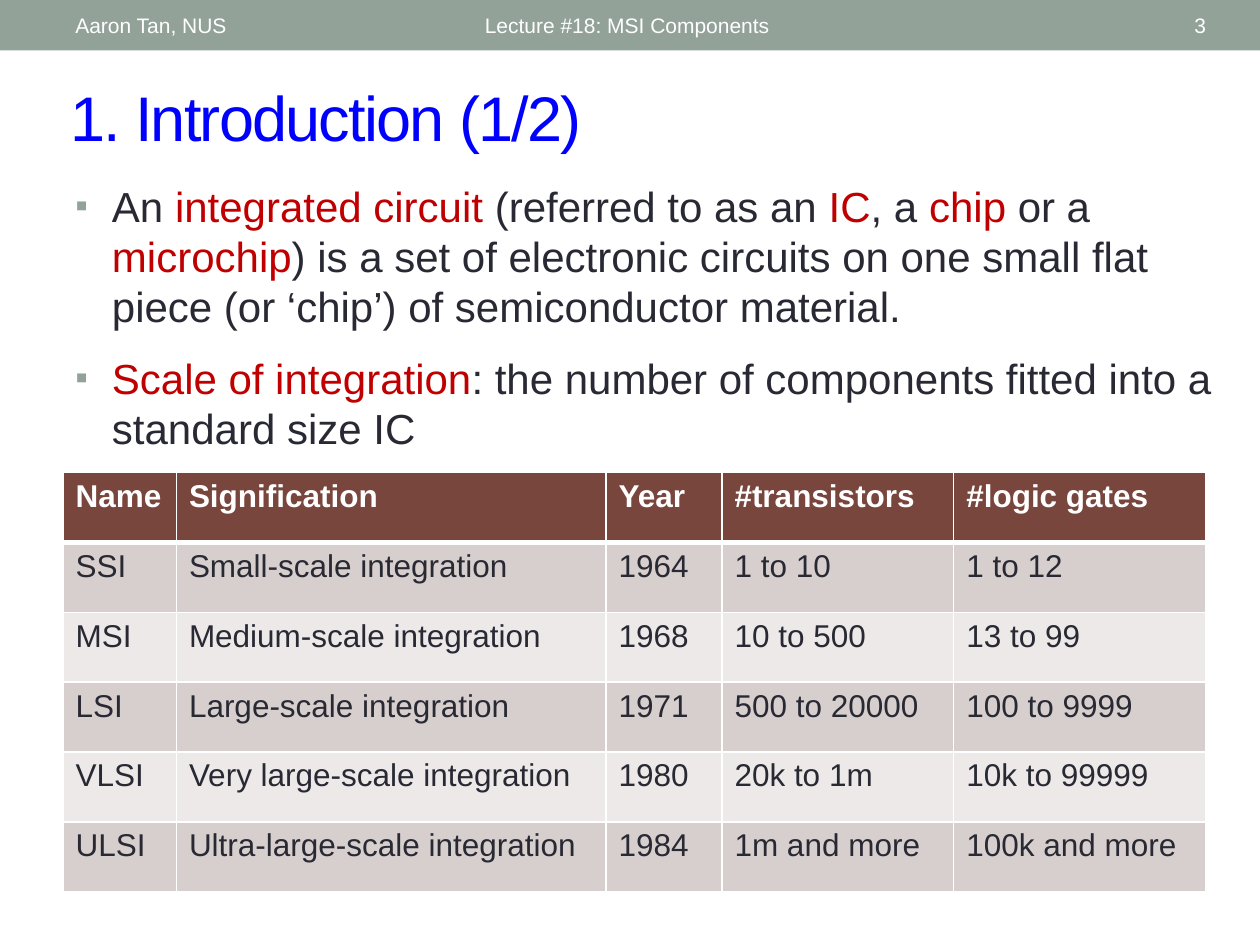
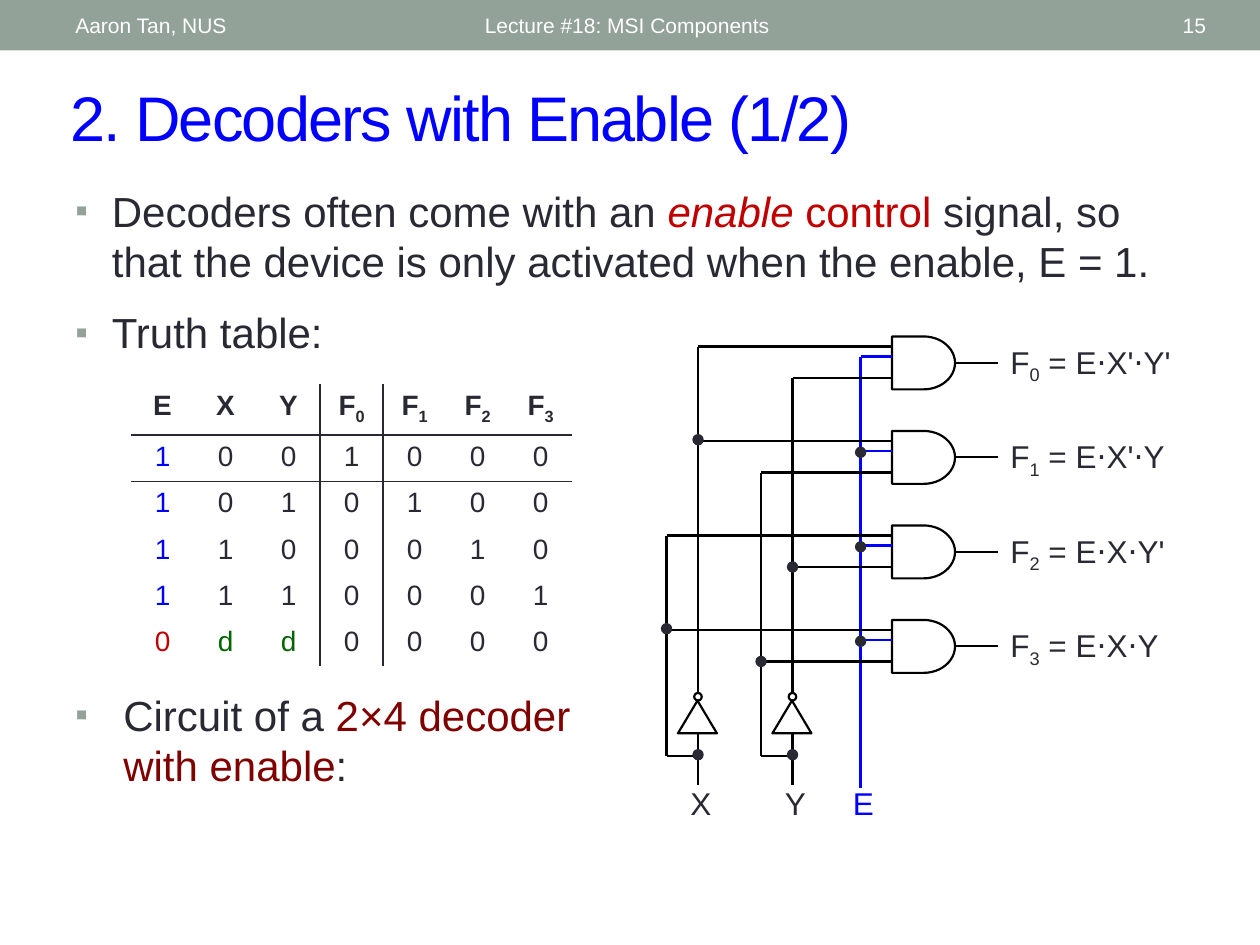
from lxml.etree import SubElement
from pptx import Presentation
from pptx.dml.color import RGBColor
from pptx.enum.shapes import MSO_CONNECTOR, MSO_SHAPE
from pptx.enum.text import MSO_ANCHOR, PP_ALIGN
from pptx.oxml.ns import qn
from pptx.util import Inches, Pt

FONT = "Arial"
BAND, WHITE, BLACK, INK = "93A299", "FFFFFF", "000000", "292934"
BLUE, RED, MAROON, GREEN = "0000FF", "C00000", "800000", "006600"
HEADER_FILL, ROW_FILLS = "79463D", ("D7CFCE", "ECE9E8")
NO_STYLE = "{2D5ABB26-0587-4C30-8999-92F81FD0307C}"


def rgb(value):
    return RGBColor.from_string(value)


def red(text, **style):
    return text, {"color": RED, **style}


def sub(text):
    return text, {"baseline": -25000}


class LecturePage:
    """The lecture style together with the slide being filled."""

    def __init__(self):
        self.deck = Presentation()
        self.deck.slide_width, self.deck.slide_height = Inches(10), Inches(7.5)
        self.page = None

    def start(self, number, title):
        self.page = self.deck.slides.add_slide(self.deck.slide_layouts[6])
        self.shape(MSO_SHAPE.RECTANGLE, 0, 0, 10, 0.4, fill=BAND)
        style = {"size": 12, "color": WHITE, "anchor": MSO_ANCHOR.MIDDLE}
        self.text(0.5, 0.02, 3.17, 0.36, ["Aaron Tan, NUS"], **style)
        self.text(3.75, 0.02, 4.5, 0.36, ["Lecture #18: MSI Components"], **style)
        self.text(8.72, 0.02, 0.95, 0.36, [str(number)], align=PP_ALIGN.RIGHT, **style)
        heading = self.text(0.46, 0.57, 9.36, 0.7, [title], size=36, color=BLUE,
                            anchor=MSO_ANCHOR.MIDDLE)
        for span in heading.paragraphs[0].runs:
            span._r.get_or_add_rPr().set("spc", "-100")

    def fill_paragraph(self, para, spans, size, color, bold=False):
        """Spans are plain strings or (text, style) pairs."""
        font = para.font
        font.name, font.size, font.bold = FONT, Pt(size), bold
        font.color.rgb = rgb(color)
        for item in spans:
            words, style = (item, {}) if isinstance(item, str) else item
            span = para.add_run()
            span.text = words
            if "color" in style:
                span.font.color.rgb = rgb(style["color"])
            if "italic" in style:
                span.font.italic = style["italic"]
            if "baseline" in style:
                span._r.get_or_add_rPr().set("baseline", str(style["baseline"]))

    def text(self, left, top, width, height, spans, size=18, color=INK,
             anchor=MSO_ANCHOR.TOP, align=PP_ALIGN.LEFT):
        box = self.page.shapes.add_textbox(
            Inches(left), Inches(top), Inches(width), Inches(height))
        frame = box.text_frame
        frame.word_wrap, frame.vertical_anchor = True, anchor
        frame.paragraphs[0].alignment = align
        self.fill_paragraph(frame.paragraphs[0], spans, size, color)
        return frame

    def bullets(self, left, top, width, height, items, indent=0.29):
        box = self.page.shapes.add_textbox(
            Inches(left), Inches(top), Inches(width), Inches(height))
        frame = box.text_frame
        frame.word_wrap = True
        for index, spans in enumerate(items):
            para = frame.add_paragraph() if index else frame.paragraphs[0]
            para.space_before = Pt(12)
            props = para._p.get_or_add_pPr()
            props.set("marL", str(Inches(indent)))
            props.set("indent", str(-Inches(indent)))
            bullet_color = SubElement(props, qn("a:buClr"))
            SubElement(bullet_color, qn("a:srgbClr"), val=BAND)
            SubElement(props, qn("a:buSzPct"), val="85000")
            SubElement(props, qn("a:buFont"), typeface=FONT)
            SubElement(props, qn("a:buChar"), char="▪")
            self.fill_paragraph(para, spans, 24, INK)

    def shape(self, preset, left, top, width, height, fill=None, line=None, weight=1.25):
        shape = self.page.shapes.add_shape(
            preset, Inches(left), Inches(top), Inches(width), Inches(height))
        shape.shadow.inherit = False
        if fill:
            shape.fill.solid()
            shape.fill.fore_color.rgb = rgb(fill)
        else:
            shape.fill.background()
        if line:
            shape.line.color.rgb = rgb(line)
            shape.line.width = Pt(weight)
        else:
            shape.line.fill.background()
        return shape

    def wire(self, x1, y1, x2, y2, color=BLACK):
        wire = self.page.shapes.add_connector(
            MSO_CONNECTOR.STRAIGHT, Inches(x1), Inches(y1), Inches(x2), Inches(y2))
        wire.line.color.rgb = rgb(color)
        wire.line.width = Pt(1.25)
        SubElement(wire._element.spPr, qn("a:effectLst"))

    def junction(self, x, y):
        self.shape(MSO_SHAPE.OVAL, x - 0.04, y - 0.04, 0.08, 0.08, INK, INK, 0.75)

    def borders(self, cell, color, widths):
        """Widths in points, for the left, right, top and bottom edges."""
        props = cell._tc.get_or_add_tcPr()
        for index, (side, width) in enumerate(zip("LRTB", widths)):
            edge = SubElement(props, qn(f"a:ln{side}"), w=str(Pt(width)))
            if width:
                paint = SubElement(edge, qn("a:solidFill"))
                SubElement(paint, qn("a:srgbClr"), val=color)
            else:
                SubElement(edge, qn("a:noFill"))
            props.insert(index, edge)

    def table(self, left, top, height, columns, rows, look, size, rule_color,
              row_rules, column_rules, align=PP_ALIGN.LEFT):
        """look(row, column) gives text colour and fill; rules map gaps to widths."""
        frame = self.page.shapes.add_table(
            len(rows), len(columns), Inches(left), Inches(top),
            Inches(sum(columns)), Inches(height))
        table = frame.table
        table.horz_banding = False
        table._tbl.tblPr.find(qn("a:tableStyleId")).text = NO_STYLE
        for column, width in zip(table.columns, columns):
            column.width = Inches(width)
        for r, row in enumerate(rows):
            for c, spans in enumerate(row):
                cell = table.cell(r, c)
                color, fill = look(r, c)
                if fill:
                    cell.fill.solid()
                    cell.fill.fore_color.rgb = rgb(fill)
                else:
                    cell.fill.background()
                para = cell.text_frame.paragraphs[0]
                para.alignment = align
                self.fill_paragraph(para, spans, size, color, bold=r == 0)
                self.borders(cell, rule_color, (
                    column_rules.get(c, 0), column_rules.get(c + 1, 0),
                    row_rules.get(r, 0), row_rules.get(r + 1, 0)))


def introduction(lecture):
    lecture.start(3, "1. Introduction (1/2)")
    lecture.bullets(0.5, 1.38, 9.38, 2.37, [
        ["An ", red("integrated circuit "), "(referred to as an ", red("IC"), ", a ",
         red("chip"), " or a ", red("microchip"),
         ") is a set of electronic circuits on one small flat piece "
         "(or ‘chip’) of semiconductor material."],
        [red("Scale of integration"),
         ": the number of components fitted into a standard size IC"],
    ])

    # Scales of integration
    scales = [
        ("Name", "Signification", "Year", "#transistors", "#logic gates"),
        ("SSI", "Small-scale integration", "1964", "1 to 10", "1 to 12"),
        ("MSI", "Medium-scale integration", "1968", "10 to 500", "13 to 99"),
        ("LSI", "Large-scale integration", "1971", "500 to 20000", "100 to 9999"),
        ("VLSI", "Very large-scale integration", "1980", "20k to 1m", "10k to 99999"),
        ("ULSI", "Ultra-large-scale integration", "1984", "1m and more", "100k and more"),
    ]

    def look(row, column):
        return (INK, ROW_FILLS[(row - 1) % 2]) if row else (WHITE, HEADER_FILL)

    lecture.table(0.5, 3.75, 3.33, [0.9, 3.41, 0.92, 1.84, 2],
                  [[[words] for words in row] for row in scales], look, 18, WHITE,
                  row_rules={**dict.fromkeys(range(7), 1), 1: 3},
                  column_rules=dict.fromkeys(range(6), 1))


def truth_table(lecture):
    header = [["E"], ["X"], ["Y"]] + [["F", sub(str(n))] for n in range(4)]
    rows = ["1001000", "1010100", "1100010", "1110001", "0dd0000"]

    def look(row, column):
        if row and column == 0:
            return (RED if row == len(rows) else BLUE), None
        is_dont_care = row and rows[row - 1][column] == "d"
        return (GREEN if is_dont_care else INK), None

    lecture.table(1.04, 3.05, 2.2, [0.5] * 7, [header] + rows, look, 16, INK,
                  row_rules={1: 1, 2: 0.5}, column_rules={3: 1, 4: 1},
                  align=PP_ALIGN.CENTER)


def decoder_circuit(lecture):
    pitch, gate_left, gate_right, enable_x, branch = 0.75, 7.08, 7.58, 6.83, 0.25
    x_rail, y_rail = 5.54, 6.29

    # Inputs with inverters: the inverted rail, and the true rail to its left
    for name, rail, inverted_top, true_top in (
            ("X", x_rail, 2.75, 4.25), ("Y", y_rail, 3, 3.75)):
        lecture.wire(rail, inverted_top, rail, 5.5)
        lecture.shape(MSO_SHAPE.OVAL, rail - 0.03, 5.5, 0.06, 0.06, line=BLACK)
        inverter = lecture.shape(MSO_SHAPE.FLOWCHART_MERGE, rail - 0.16, 5.56,
                                 0.31, 0.26, line=BLACK)
        inverter.rotation = 180
        lecture.wire(rail, 5.81, rail, 6.23)
        lecture.wire(rail - branch, 6, rail, 6)
        lecture.wire(rail - branch, true_top, rail - branch, 6)
        lecture.junction(rail, 5.99)
        lecture.text(rail - 0.16, 6.17, 0.42, 0.4, [name])

    # Enable line
    lecture.wire(enable_x, 2.83, enable_x, 6.25, BLUE)
    lecture.text(6.67, 6.17, 0.42, 0.4, ["E"], color=BLUE)

    # One AND gate for each output
    products = ["E⋅X'⋅Y'", "E⋅X'⋅Y", "E⋅X⋅Y'", "E⋅X⋅Y"]
    for n, product in enumerate(products):
        drop = n * pitch
        x_bit, y_bit = divmod(n, 2)
        x_start, y_start = x_rail - branch * x_bit, y_rail - branch * y_bit
        lecture.shape(MSO_SHAPE.FLOWCHART_DELAY, gate_left, 2.67 + drop, 0.5, 0.42,
                      line=BLACK)
        lecture.wire(x_start, 2.75 + drop, gate_left, 2.75 + drop)
        lecture.wire(enable_x, 2.83 + drop, gate_left, 2.83 + drop, BLUE)
        lecture.wire(y_start, 3 + drop, gate_left, 3 + drop)
        lecture.wire(gate_right, 2.88 + drop, 7.92, 2.88 + drop)
        lecture.text(7.92, 2.67 + drop, 1.58, 0.4, ["F", sub(str(n)), f" = {product}"])
        if y_bit:
            lecture.junction(x_start, 2.74 + drop)
        if x_bit:
            lecture.junction(y_start, 3 + drop)
        if n:
            lecture.junction(enable_x, 2.84 + drop)


def decoders_with_enable(lecture):
    lecture.start(15, "2. Decoders with Enable (1/2)")
    lecture.bullets(0.5, 1.42, 9, 1.58, [
        ["Decoders often come with an ", red("enable", italic=True), red(" control "),
         "signal, so that the device is only activated when the enable, E = 1."],
        ["Truth table:"],
    ])
    lecture.bullets(0.5, 5.42, 4.25, 1.08, [
        ["Circuit of a ", ("2×4 decoder with enable", {"color": MAROON}), ":"],
    ], indent=0.38)
    decoder_circuit(lecture)
    truth_table(lecture)


def main():
    lecture = LecturePage()
    introduction(lecture)
    decoders_with_enable(lecture)
    lecture.deck.save("out.pptx")


if __name__ == "__main__":
    main()
